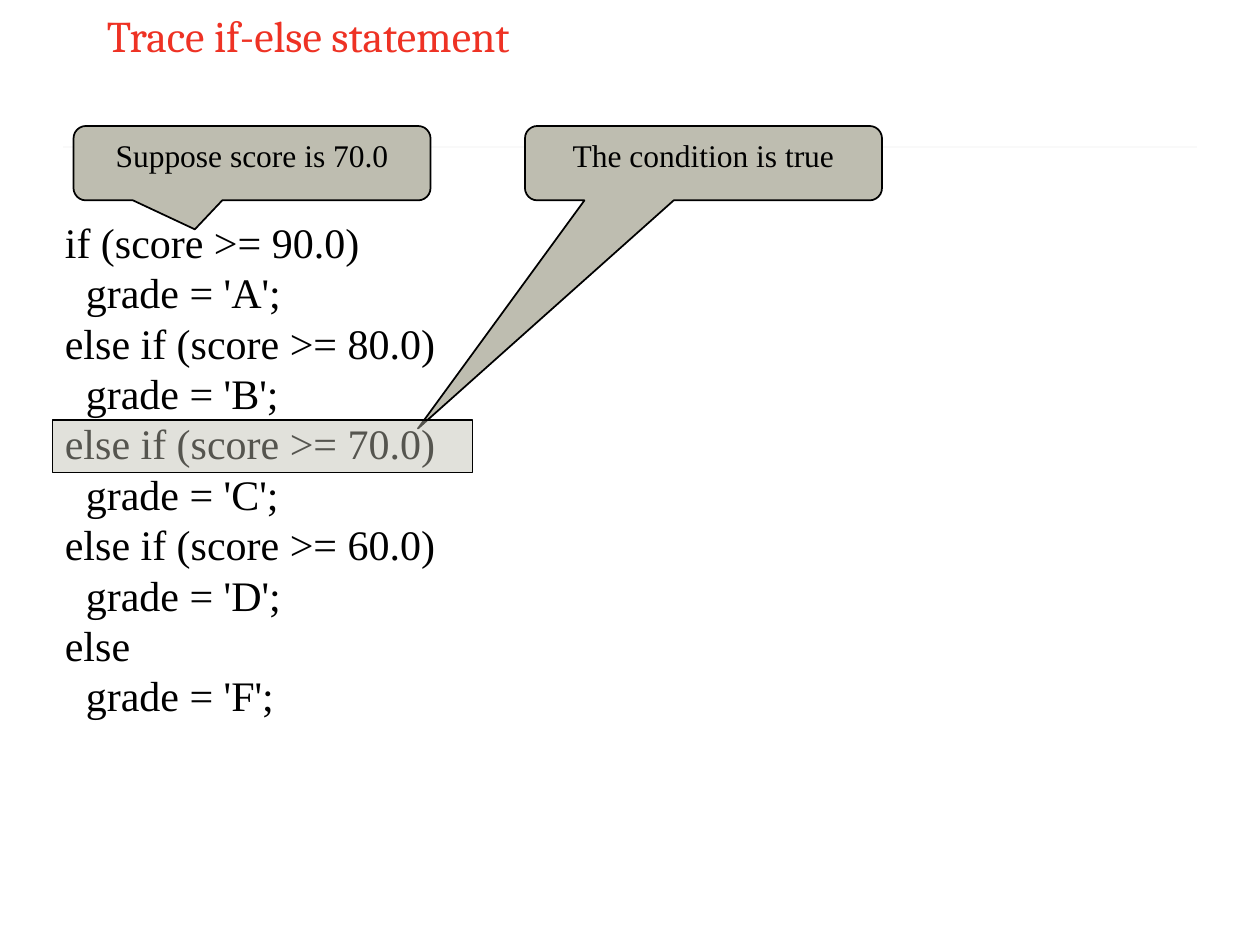
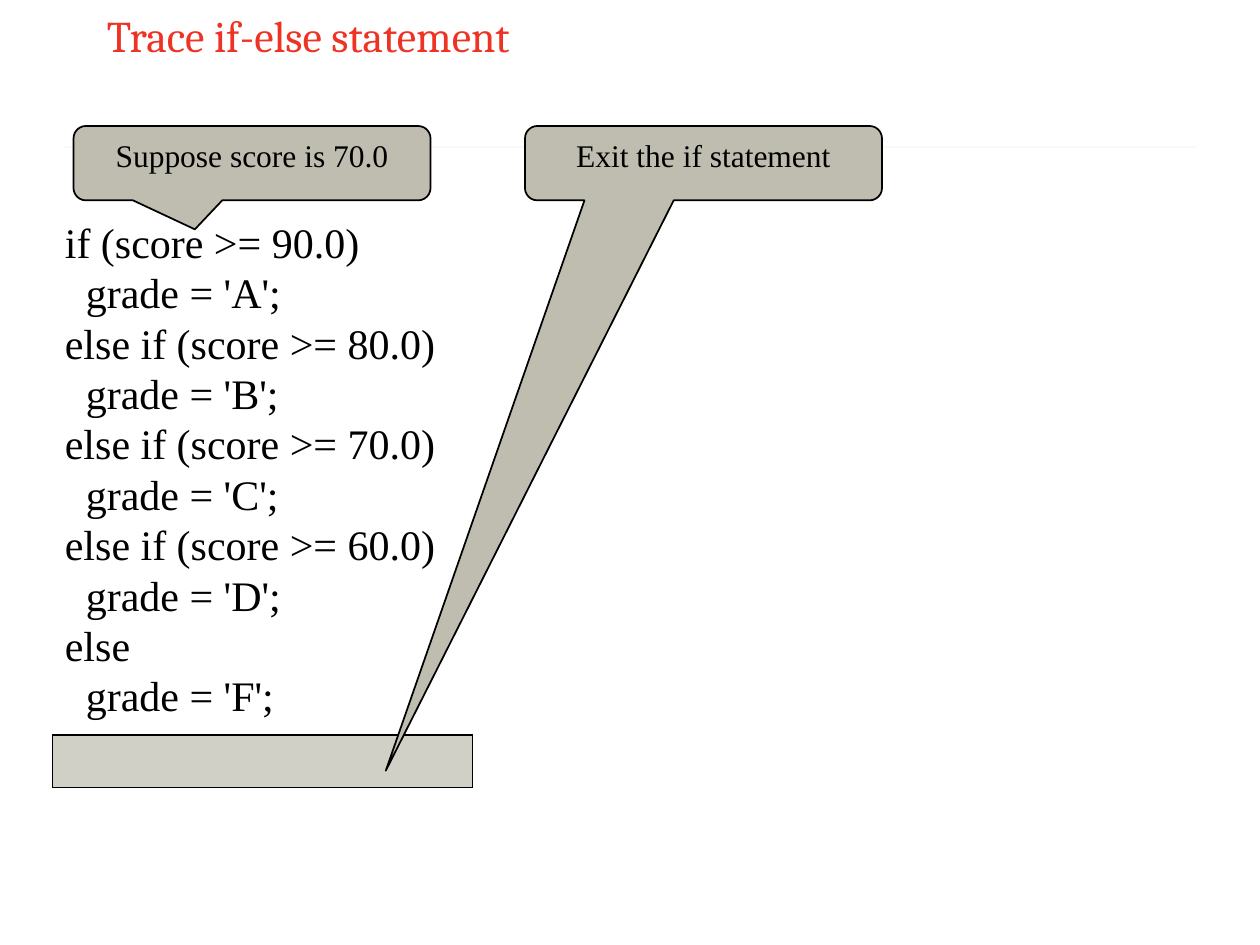
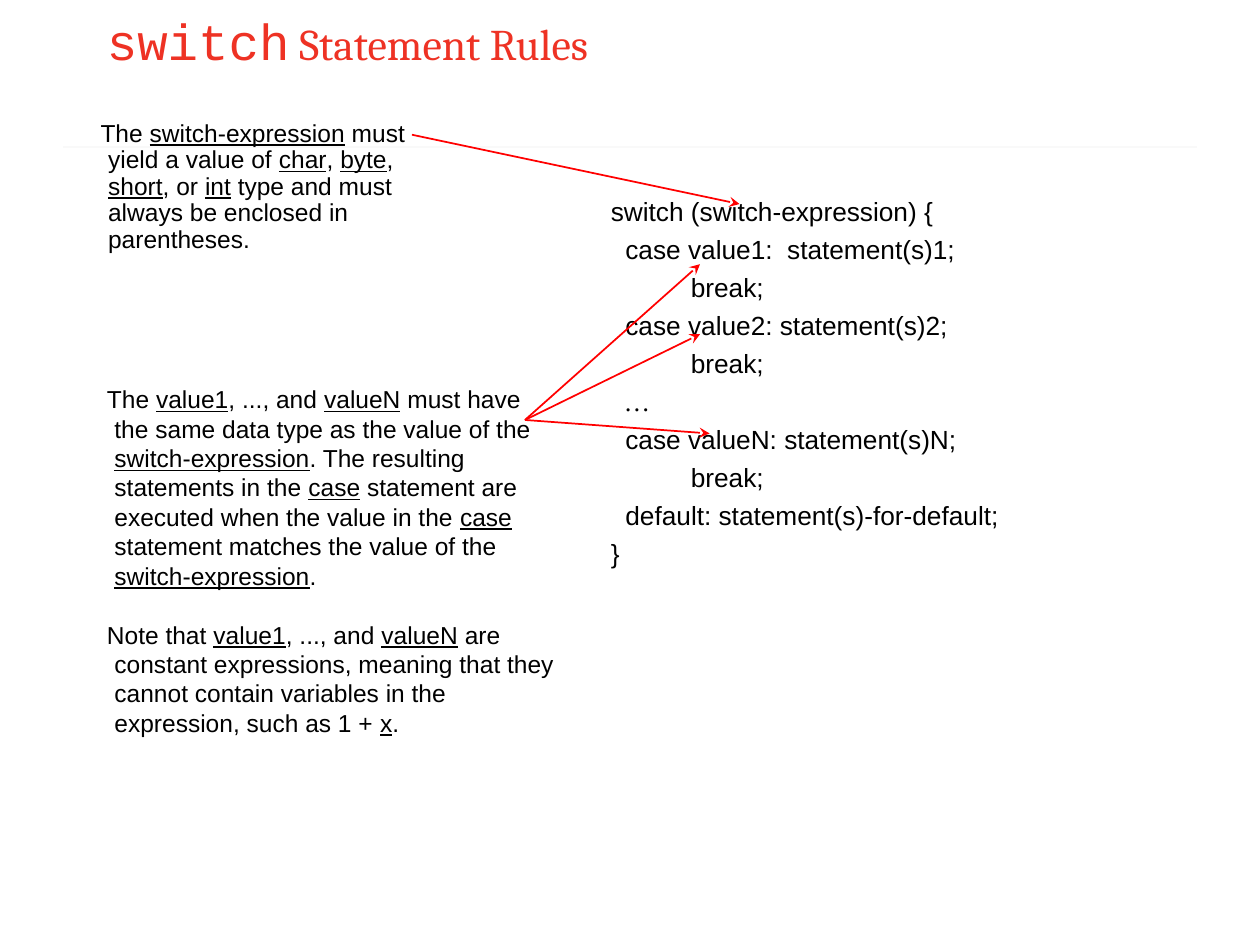
"""Build three slides tracing if-else and explaining the switch statement."""
from lxml.etree import SubElement
from pptx import Presentation
from pptx.dml.color import RGBColor
from pptx.enum.shapes import MSO_CONNECTOR, MSO_SHAPE
from pptx.enum.text import MSO_ANCHOR, PP_ALIGN
from pptx.oxml.ns import qn
from pptx.util import Pt

BLACK, RED, TITLE_RED = "000000", "FF0000", "EE3224"
STONE, RULE_GREY = "BEBDB0", "F9F9F9"
SERIF, SANS, TITLE_FONT, MONO = "Times New Roman", "Arial", "Cambria", "Courier New"
LINE_RATIO, TITLE_RATIO = 1.2, 1.27
HANG = 4.32

TRACE_TITLE = [("Trace if-else statement", TITLE_FONT, 25)]
SWITCH_TITLE = [("switch", MONO, 29), (" Statement Rules", TITLE_FONT, 25)]

TRACE_CODE = [
    "if (score >= 90.0)", "  grade = 'A';",
    "else if (score >= 80.0)", "  grade = 'B';",
    "else if (score >= 70.0)", "  grade = 'C';",
    "else if (score >= 60.0)", "  grade = 'D';",
    "else", "  grade = 'F';",
]
SUPPOSE = ("callout", 42, "Suppose score is 70.0", (-0.16, 0.89))
TRACES = [
    [SUPPOSE,
     ("callout", 300, "The condition is true", (-0.8, 3.57)),
     ("highlight", 240)],
    [SUPPOSE,
     ("highlight", 420),
     ("highlight", 420),
     ("callout", 300, "Exit the if statement", (-0.89, 8.17))],
]

SWITCH_CODE = [
    "switch (switch-expression) {",
    "  case value1:  statement(s)1;", "           break;",
    "  case value2: statement(s)2;", "           break;",
    "  …",
    "  case valueN: statement(s)N;", "           break;",
    "  default: statement(s)-for-default;",
    "}",
]
EXPRESSION_RULE = [
    "The _switch-expression_ must yield a value of _char_, _byte_, _short_, or _int_"
    " type and must always be enclosed in parentheses.",
]
VALUE_RULES = [
    "The _value1_, ..., and _valueN_ must have the same data type as the value of the"
    " _switch-expression_. The resulting statements in the _case_ statement are executed"
    " when the value in the _case_ statement matches the value of the _switch-expression_.",
    "Note that _value1_, ..., and _valueN_ are constant expressions, meaning that they"
    " cannot contain variables in the expression, such as 1 + _x_.",
]
VALUES_START = (300, 240)
ARROWS = [
    ((235.4, 77), (422.6, 116.6)),
    (VALUES_START, (400, 151)),
    (VALUES_START, (400, 191)),
    (VALUES_START, (405.5, 247.7)),
]


def color(hex_string):
    return RGBColor.from_string(hex_string)


def points(values):
    return [Pt(value) for value in values]


def set_font(font, name, size, hex_string=BLACK):
    font.name, font.size = name, Pt(size)
    font.color.rgb = color(hex_string)


def add_line(slide, start, end, hex_string, arrow=False):
    connector = slide.shapes.add_connector(MSO_CONNECTOR.STRAIGHT, *points(start + end))
    connector.line.color.rgb = color(hex_string)
    connector.line.width = Pt(1)
    properties = connector.element.spPr
    if arrow:
        SubElement(properties.find(qn("a:ln")), qn("a:tailEnd"), type="stealth")
    SubElement(properties, qn("a:effectLst"))


def add_text(slide, box, lines, font, size, gap=0, hang=0, spacing=1):
    """Add a text box in which words between underscores are underlined."""
    frame = slide.shapes.add_textbox(*points(box)).text_frame
    frame.word_wrap = True
    for index, line in enumerate(lines):
        paragraph = frame.paragraphs[0] if index == 0 else frame.add_paragraph()
        paragraph.line_spacing = Pt(round(size * LINE_RATIO * spacing, 2))
        if index and gap:
            paragraph.space_before = Pt(gap)
        if hang:
            properties = paragraph._p.get_or_add_pPr()
            properties.set("marL", str(Pt(hang)))
            properties.set("indent", str(-Pt(hang)))
        set_font(paragraph.font, SERIF if "…" in line else font, size)
        for position, part in enumerate(line.split("_")):
            run = paragraph.add_run()
            run.text = part
            if position % 2:
                run.font.underline = True


def add_slide(presentation, title, width, height):
    slide = presentation.slides.add_slide(presentation.slide_layouts[6])
    add_line(slide, (36, 84), (684, 84), RULE_GREY)
    frame = slide.shapes.add_textbox(*points((54, 0, width, height))).text_frame
    frame.word_wrap = True
    paragraph = frame.paragraphs[0]
    paragraph.line_spacing = Pt(round(max(size for _, _, size in title) * TITLE_RATIO, 2))
    for text, font, size in title:
        run = paragraph.add_run()
        run.text = text
        set_font(run.font, font, size, TITLE_RED)
    return slide


def add_stone_shape(slide, preset, box):
    shape = slide.shapes.add_shape(preset, *points(box))
    shape.shadow.inherit = False
    shape.fill.solid()
    shape.fill.fore_color.rgb = color(STONE)
    shape.line.color.rgb = color(BLACK)
    shape.line.width = Pt(1)
    return shape


def add_callout(slide, left, text, tip):
    shape = add_stone_shape(slide, MSO_SHAPE.ROUNDED_RECTANGULAR_CALLOUT, (left, 72, 204, 42.5))
    shape.adjustments[0], shape.adjustments[1] = tip
    frame = shape.text_frame
    frame.vertical_anchor = MSO_ANCHOR.TOP
    frame.word_wrap = True
    paragraph = frame.paragraphs[0]
    paragraph.text = text
    paragraph.alignment = PP_ALIGN.CENTER
    paragraph.line_spacing = Pt(18 * LINE_RATIO)
    set_font(paragraph.font, SERIF, 18)


def add_highlight(slide, top):
    shape = add_stone_shape(slide, MSO_SHAPE.RECTANGLE, (30, top, 240, 30))
    fill_color = shape.element.spPr.find(qn("a:solidFill")).find(qn("a:srgbClr"))
    SubElement(fill_color, qn("a:alpha"), val="45000")


def main():
    presentation = Presentation()
    presentation.slide_width, presentation.slide_height = Pt(720), Pt(540)

    builders = {"callout": add_callout, "highlight": add_highlight}
    for parts in TRACES:
        slide = add_slide(presentation, TRACE_TITLE, 630, 72)
        add_text(slide, (30, 120, 240, 295), TRACE_CODE, SERIF, 24)
        for kind, *details in parts:
            builders[kind](slide, *details)

    slide = add_slide(presentation, SWITCH_TITLE, 612, 60)
    add_text(slide, (342, 108, 288, 300), SWITCH_CODE, SANS, 15, gap=3.7)
    add_text(slide, (50.4, 65.5, 216, 102), EXPRESSION_RULE, SANS, 14, hang=HANG, spacing=0.9)
    add_text(slide, (54, 216, 270, 270), VALUE_RULES, SANS, 14, gap=16.8, hang=HANG)
    for start, end in ARROWS:
        add_line(slide, start, end, RED, arrow=True)

    presentation.save("out.pptx")


if __name__ == "__main__":
    main()
